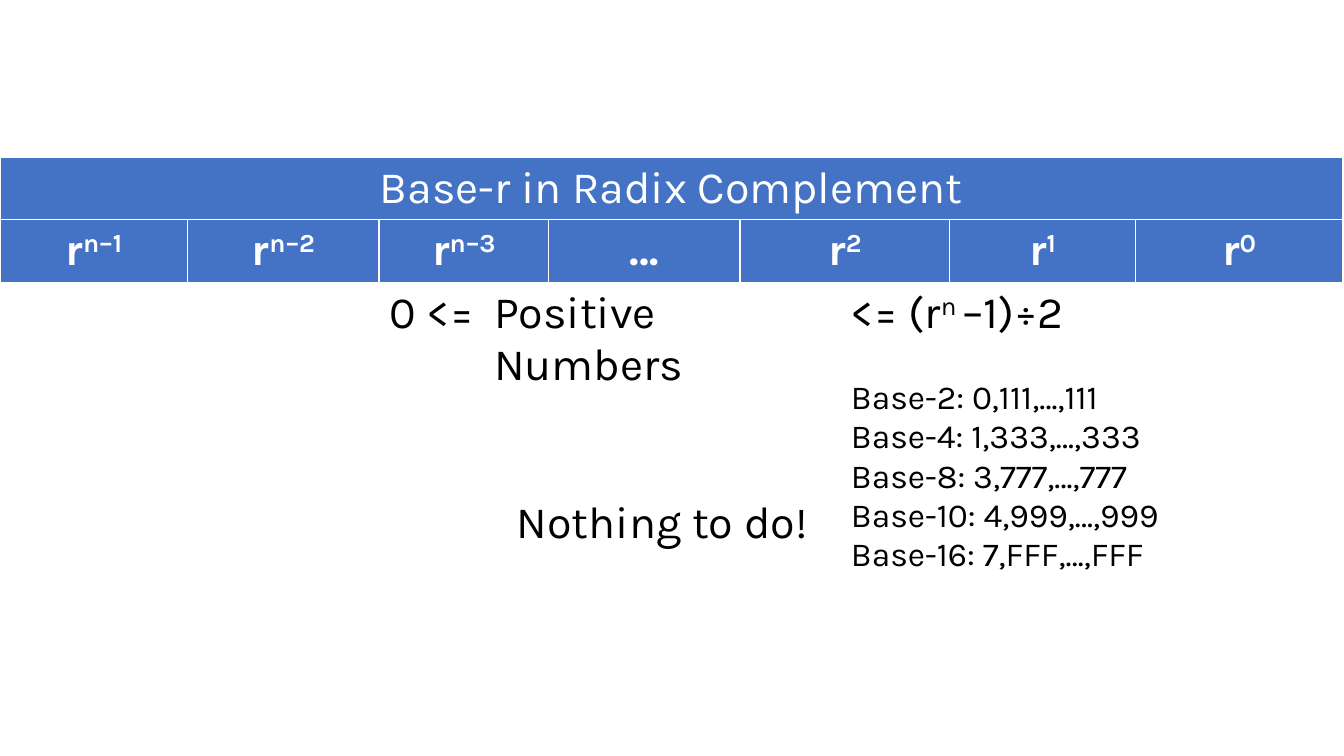
"""Build a slide with a table on positive numbers in radix complement."""
import pptx
import pptx.dml.color
import pptx.enum.text
import pptx.oxml
import pptx.oxml.ns
import pptx.util

Inches = pptx.util.Inches
Pt = pptx.util.Pt
ALIGN = pptx.enum.text.PP_ALIGN

BLUE = pptx.dml.color.RGBColor(0x44, 0x72, 0xC4)
WHITE = pptx.dml.color.RGBColor(0xFF, 0xFF, 0xFF)
BLACK = pptx.dml.color.RGBColor(0, 0, 0)
FONT = "Karla"

TITLE = "Base-r in Radix Complement"
PLACE_VALUES = [(0, 1, "r^n–1"), (1, 1, "r^n–2"), (2, 2, "r^n–3"), (4, 1, "…"),
                (5, 2, "r^2"), (7, 1, "r^1"), (8, 1, "r^0")]
LOWER_BOUND = "0 <="
NUMBER_KIND = "Positive Numbers"
ACTION = "Nothing to do!"
UPPER_BOUND = "<= (r^n ^–1)÷2"
LARGEST_VALUES = ["Base-2: 0,111,…,111", "Base-4: 1,333,…,333", "Base-8: 3,777,…,777",
                  "Base-10: 4,999,…,999", "Base-16: 7,FFF,…,FFF"]
COLUMN_WIDTHS = [1.86, 1.9, 1.04, 0.64, 1.9, 1, 1.08, 1.84, 2.06]
ROW_HEIGHTS = [0.62, 0.62, 3.28, 0.41]
TABLE_TOP = 1.56


def write_text(cell, text, size=32, color=BLACK, bold=False, align=ALIGN.LEFT, space_before=0):
    """Add a paragraph; text between carets is superscript."""
    frame = cell.text_frame
    paragraph = frame.add_paragraph() if frame.text else frame.paragraphs[0]
    paragraph.alignment = align
    if space_before:
        paragraph.space_before = Pt(space_before)
    for index, part in enumerate(text.split("^")):
        if not part:
            continue
        run = paragraph.add_run()
        run.text = part
        run.font.name = FONT
        run.font.size = Pt(size)
        run.font.bold = bold
        run.font.color.rgb = color
        if index % 2:
            run._r.get_or_add_rPr().set("baseline", "30000")


def set_borders(cell):
    """Give a cell thin white borders on every side."""
    properties = cell._tc.get_or_add_tcPr()
    for position, side in enumerate(("lnL", "lnR", "lnT", "lnB")):
        properties.insert(position, pptx.oxml.parse_xml(
            f'<a:{side} {pptx.oxml.ns.nsdecls("a")} w="{Pt(1)}"><a:solidFill>'
            f'<a:srgbClr val="{WHITE}"/></a:solidFill></a:{side}>'))


def merge_columns(table, row, start, span):
    """Merge neighbouring cells of a row and return the first."""
    cell = table.cell(row, start)
    if span > 1:
        cell.merge(table.cell(row, start + span - 1))
    return cell


def main():
    """Create and save the presentation."""
    presentation = pptx.Presentation()
    presentation.slide_width = Inches(13.33)
    presentation.slide_height = Inches(7.5)
    slide = presentation.slides.add_slide(presentation.slide_layouts[6])
    table = slide.shapes.add_table(
        len(ROW_HEIGHTS), len(COLUMN_WIDTHS), 0, Inches(TABLE_TOP),
        Inches(sum(COLUMN_WIDTHS)), Inches(sum(ROW_HEIGHTS))).table
    table.first_row = False
    table.horz_banding = False
    for column, width in zip(table.columns, COLUMN_WIDTHS):
        column.width = Inches(width)
    for index, (row, height) in enumerate(zip(table.rows, ROW_HEIGHTS)):
        row.height = Inches(height)
        for cell in row.cells:
            if index < 2:
                cell.fill.solid()
                cell.fill.fore_color.rgb = BLUE
            else:
                cell.fill.background()
            set_borders(cell)

    column_count = len(COLUMN_WIDTHS)
    write_text(merge_columns(table, 0, 0, column_count), TITLE, color=WHITE, align=ALIGN.CENTER)
    for start, span, place_value in PLACE_VALUES:
        write_text(merge_columns(table, 1, start, span), place_value,
                   color=WHITE, bold=True, align=ALIGN.CENTER)

    lower, middle, upper = [merge_columns(table, 2, start, 3) for start in (0, 3, 6)]
    write_text(lower, LOWER_BOUND, align=ALIGN.RIGHT)
    write_text(middle, NUMBER_KIND)
    write_text(middle, ACTION, align=ALIGN.CENTER, space_before=75)
    write_text(upper, UPPER_BOUND)
    for index, value in enumerate(LARGEST_VALUES):
        write_text(upper, value, size=24, space_before=0 if index else 28)
    merge_columns(table, 3, 0, column_count)
    presentation.save("out.pptx")


if __name__ == "__main__":
    main()
